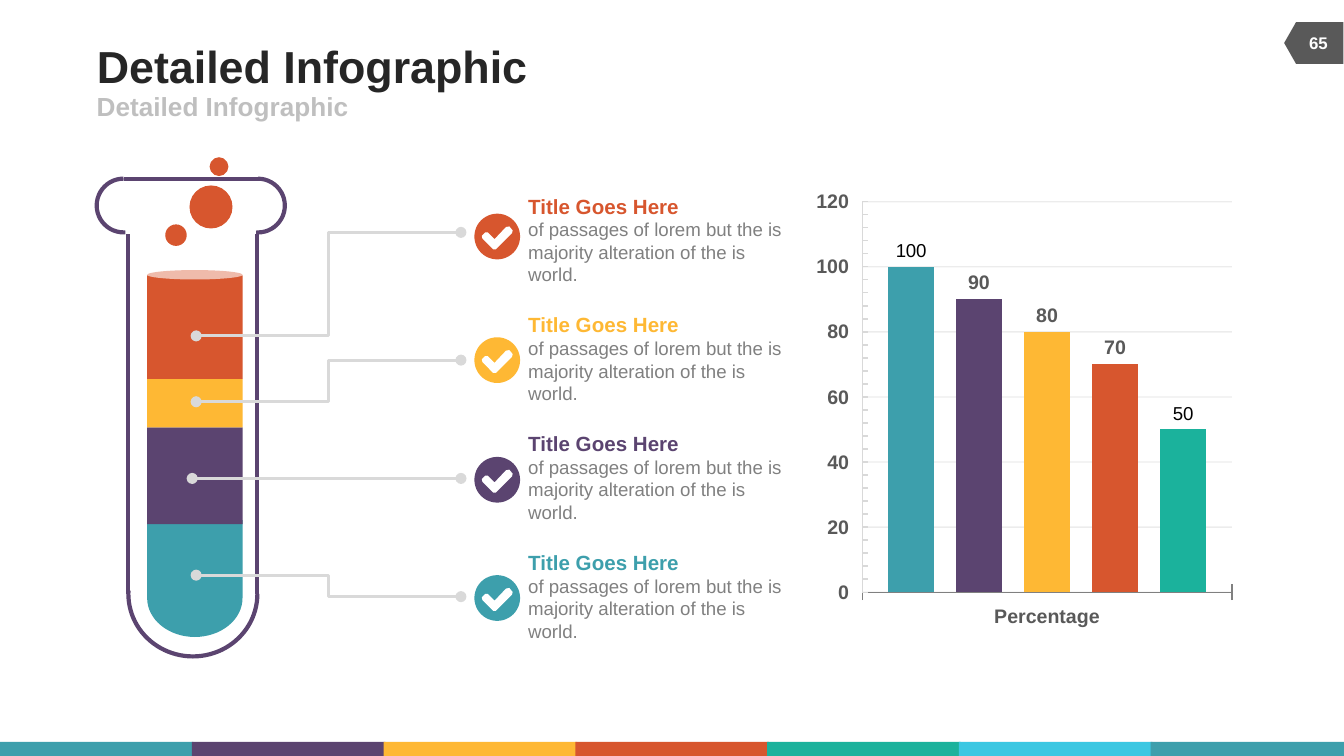
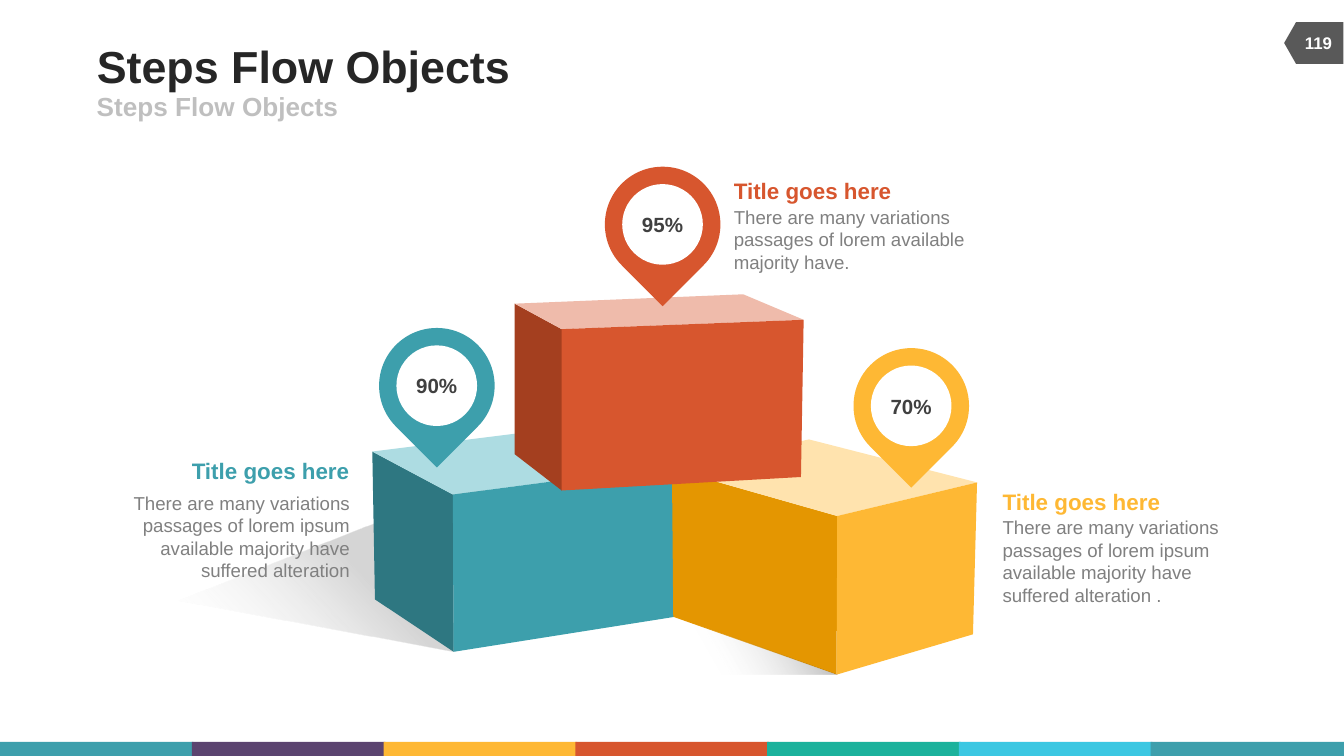
import math

import pptx
import pptx.chart.data
import pptx.dml.color
import pptx.enum.chart
import pptx.enum.shapes
import pptx.enum.text
import pptx.oxml
import pptx.oxml.ns
import pptx.util

SHAPE = pptx.enum.shapes.MSO_SHAPE
LINK = pptx.enum.shapes.MSO_CONNECTOR
ALIGN = pptx.enum.text.PP_ALIGN
ANCHOR = pptx.enum.text.MSO_ANCHOR
TICK = pptx.enum.chart.XL_TICK_MARK
qn = pptx.oxml.ns.qn

FONT = "Arial"
TEAL, PURPLE, YELLOW, RED = "3D9FAC", "5B4470", "FEB834", "D7562E"
GREEN, SKY = "1BB29C", "3BC7E2"
PALE_RED, WHITE, GRAY, LIGHT = "EFBBAB", "FFFFFF", "808080", "D9D9D9"
DARK = "595959"
BAND = [TEAL, PURPLE, YELLOW, RED, GREEN, SKY, TEAL]


def rgb(color):
    return pptx.dml.color.RGBColor.from_string(color)


def set_opacity(clr, percent):
    clr.makeelement
    alpha = pptx.oxml.parse_xml(
        '<a:alpha xmlns:a="http://schemas.openxmlformats.org/drawingml/2006/main"'
        f' val="{percent * 1000}"/>')
    clr.append(alpha)


def format_text(p, text, size=10, color=GRAY, bold=False, align=ALIGN.LEFT):
    p.alignment = align
    r = p.add_run()
    r.text = text
    r.font.name, r.font.size, r.font.bold = FONT, pptx.util.Pt(size), bold
    r.font.color.rgb = rgb(color)


class Deck:
    """Shared style and current slide; lengths are in grid units, 100 across."""

    def __init__(self):
        self.prs = pptx.Presentation()
        self.prs.slide_width = pptx.util.Inches(10)
        self.prs.slide_height = pptx.util.Inches(5.625)
        self.unit = self.prs.slide_width / 100
        self.s = None

    def emu(self, *lengths):
        return [round(v * self.unit) for v in lengths]

    def new_slide(self, title, number):
        self.s = self.prs.slides.add_slide(self.prs.slide_layouts[5])
        for i, color in enumerate(BAND):
            self.shape(SHAPE.RECTANGLE, i * 14.27, 55.2, 14.4, 1.05, color)
        self.shape(SHAPE.FLOWCHART_OFFPAGE_CONNECTOR, 96.2, 1, 3.1, 4.4, DARK, rot=90)
        ph = self.s.shapes.title
        ph.left, ph.top, ph.width, ph.height = self.emu(7.2, 2.9, 61.7, 3.9)
        self.fill_frame(ph.text_frame, [(title, dict(size=24, color="262626", bold=True))],
                        ANCHOR.MIDDLE)
        self.text(7.2, 6.8, 45, 2.2, (title, dict(size=14, color="BFBFBF", bold=True)),
                  anchor=ANCHOR.MIDDLE)
        self.text(96, 1.7, 4.2, 3,
                  (str(number), dict(size=9, color=WHITE, bold=True, align=ALIGN.CENTER)),
                  anchor=ANCHOR.MIDDLE)

    def fill_frame(self, tf, paragraphs, anchor=ANCHOR.TOP, wrap=True):
        tf.margin_left = tf.margin_right = tf.margin_top = tf.margin_bottom = 0
        tf.vertical_anchor, tf.word_wrap = anchor, wrap
        for i, (text, style) in enumerate(paragraphs):
            format_text(tf.add_paragraph() if i else tf.paragraphs[0], text, **style)

    def text(self, x, y, w, h, *paragraphs, anchor=ANCHOR.TOP, wrap=True):
        box = self.s.shapes.add_textbox(*self.emu(x, y, w, h))
        self.fill_frame(box.text_frame, paragraphs, anchor, wrap)

    def shape(self, kind, x, y, w, h, fill=None, rot=0):
        sp = self.s.shapes.add_shape(kind, *self.emu(x, y, w, h))
        sp.rotation = rot
        return self.paint(sp, fill)

    def paint(self, sp, fill):
        sp.shadow.inherit = False
        sp.line.fill.background()
        if fill:
            sp.fill.solid()
            sp.fill.fore_color.rgb = rgb(fill)
        else:
            sp.fill.background()
        return sp

    def arc(self, x, y, w, h, start, end, rot=0):
        sp = self.shape(SHAPE.ARC, x, y, w, h, rot=rot)
        sp.adjustments[0], sp.adjustments[1] = start * 0.6, end * 0.6
        sp.line.color.rgb = rgb(PURPLE)
        sp.line.width = pptx.util.Pt(2.25)

    def polygon(self, points, fill):
        first, *rest = [self.emu(*pt) for pt in points]
        builder = self.s.shapes.build_freeform(*first)
        builder.add_line_segments(rest, close=True)
        return self.paint(builder.convert_to_shape(), fill)

    def line(self, x1, y1, x2, y2, color, width, kind=LINK.STRAIGHT, dots=False):
        cxn = self.s.shapes.add_connector(kind, *self.emu(x1, y1, x2, y2))
        cxn.line.color.rgb = rgb(color)
        cxn.line.width = pptx.util.Pt(width)
        if dots:
            ln = cxn.line._get_or_add_ln()
            for end in ("a:headEnd", "a:tailEnd"):
                ln.append(ln.makeelement(qn(end), {"type": "oval"}))
        pr = cxn._element.spPr
        pr.append(pr.makeelement(qn("a:effectLst"), {}))

    def shadow(self, kind, x, y, w, h, angle, stops, rot=0):
        """Gradient shape; stops are (position, colour, opacity), angle clockwise."""
        sp = self.shape(kind, x, y, w, h, rot=rot)
        sp.fill.gradient()
        sp.fill.gradient_angle = 360 - angle
        for stop, (position, color, _) in zip(sp.fill.gradient_stops, stops):
            stop.position, stop.color.rgb = position, rgb(color)
        for clr, (_, _, opacity) in zip(sp._element.spPr.iter(qn("a:srgbClr")), stops):
            set_opacity(clr, opacity)
        return sp

    def check_icon(self, x, y, color):
        """Disc with a tick, centred on x, y."""
        self.shape(SHAPE.OVAL, x - 1.7, y - 1.7, 3.4, 3.4, color)
        tick = [(1.15, -.45), (.9, -.75), (.65, -.7), (-.2, .2), (-.7, -.3), (-.9, -.3),
                (-1.15, -.05), (-1.1, .15), (-.3, .95), (-.1, .95), (1.1, -.25)]
        self.polygon([(x + dx, y + dy) for dx, dy in tick], WHITE)

    def cube(self, top, low, side_color, top_color, front_color):
        """top lists left, back, right, near corners; low lists left, near, right."""
        left, back, right, near = top
        low_left, low_near, low_right = low
        self.polygon([near, low_near, low_left, left], side_color)
        self.polygon([near, left, back, right], top_color)
        self.polygon([right, low_right, low_near, near], front_color)

    def pin(self, x, y, label, color):
        self.shape(SHAPE.TEAR, x, y, 8.6, 8.6, color, rot=135)
        disc = self.shape(SHAPE.OVAL, x + 1.3, y + 1.3, 6, 6, WHITE)
        style = dict(size=11, color="404040", bold=True, align=ALIGN.CENTER)
        self.fill_frame(disc.text_frame, [(label, style)], ANCHOR.MIDDLE)

    def caption(self, x, y, body_y, w, h, body, color, align=ALIGN.LEFT):
        title_x = x + w - 11.9 if align == ALIGN.RIGHT else x
        self.text(x, body_y, w, h, (body, dict(align=align)))
        self.text(title_x, y, 11.9, 2,
                  ("Title goes here", dict(size=12, color=color, bold=True, align=align)),
                  wrap=False)

    def column_chart(self, x, y, w, h, category, values, colors, plain):
        """One series a column; the series in plain get regular black labels."""
        data = pptx.chart.data.CategoryChartData()
        data.categories = [category]
        for i, value in enumerate(values, 1):
            data.add_series(f"Series {i}", [value])
        chart = self.s.shapes.add_chart(
            pptx.enum.chart.XL_CHART_TYPE.COLUMN_CLUSTERED, *self.emu(x, y, w, h), data).chart
        chart.has_legend = chart.has_title = False
        font = chart.font
        font.name, font.size, font.bold = FONT, pptx.util.Pt(10.5), True
        font.color.rgb = rgb(DARK)
        plot = chart.plots[0]
        plot.gap_width, plot.overlap, plot.vary_by_categories = 115, -50, False
        outside = pptx.enum.chart.XL_LABEL_POSITION.OUTSIDE_END
        for i, (series, color) in enumerate(zip(plot.series, colors)):
            series.format.fill.solid()
            series.format.fill.fore_color.rgb = rgb(color)
            if i in plain:
                label = series.points[0].data_label
                label.font.size, label.font.bold = pptx.util.Pt(10), False
                label.font.color.rgb = rgb("000000")
            else:
                label = series.data_labels
                label.show_value = True
            label.position = outside
        cat, val = chart.category_axis, chart.value_axis
        cat.major_tick_mark = TICK.CROSS
        cat.format.line.color.rgb = rgb(GRAY)
        val.minimum_scale, val.maximum_scale, val.major_unit = 0, 120, 20
        val.major_tick_mark, val.minor_tick_mark = TICK.NONE, TICK.INSIDE
        val.tick_label_position = pptx.enum.chart.XL_TICK_LABEL_POSITION.LOW
        for ln in (val.format.line, val.major_gridlines.format.line):
            ln.color.rgb, ln.width = rgb(LIGHT), pptx.util.Pt(0.75)
        grid = next(chart.element.iter(qn("c:majorGridlines")))
        set_opacity(next(grid.iter(qn("a:srgbClr"))), 48)


def test_tube_slide(deck):
    deck.new_slide("Detailed Infographic", 65)
    bowl = [(14.5 + 3.55 * math.cos(a), 44.5 + 2.9 * math.sin(a))
            for a in (math.pi * i / 32 for i in range(33))]
    deck.polygon([(10.95, 38.7), (18.05, 38.7)] + bowl, TEAL)
    for y, h, color in [(31.8, 7.2, PURPLE), (28.2, 3.6, YELLOW), (20.5, 7.7, RED)]:
        deck.shape(SHAPE.RECTANGLE, 10.95, y, 7.1, h, color)
    deck.shape(SHAPE.OVAL, 10.95, 20.1, 7.1, .7, PALE_RED)

    deck.arc(9.7, 39.4, 9.3, 9.6, 270, 93, rot=90)
    for x in (9.55, 19.1):
        deck.line(x, 44.2, x, 17.4, PURPLE, 2.25)
    deck.arc(17.2, 13.3, 4, 4, 270, 93.7)
    deck.line(19.3, 13.3, 9.2, 13.3, PURPLE, 2.25)
    deck.arc(7.2, 13.3, 4, 4, 86.3, 270)
    for x, y, d in [(14.1, 13.8, 3.2), (12.3, 16.7, 1.6), (15.6, 11.7, 1.4)]:
        deck.shape(SHAPE.OVAL, x, y, d, d, RED)

    for y1, y2 in [(25, 17.3), (29.9, 26.8), (42.8, 44.4)]:
        deck.line(14.6, y1, 34.3, y2, LIGHT, 1.5, LINK.ELBOW, dots=True)
    deck.line(14.3, 35.6, 34.3, 35.6, LIGHT, 1.5, dots=True)
    body = "of passages of lorem but the is majority alteration of the is world."
    icons = [(RED, 17.6), (YELLOW, 26.8), (PURPLE, 35.7), (TEAL, 44.5)]
    for i, (color, icon_y) in enumerate(icons):
        deck.text(39.3, 14.4 + i * 8.84, 18.9, 6.9,
                  ("Title Goes Here", dict(size=11, color=color, bold=True)), (body, {}))
        deck.check_icon(37, icon_y, color)
    deck.column_chart(60.1, 13.5, 32.2, 33.9, "Percentage", [100, 90, 80, 70, 50],
                      BAND[:5], plain=(0, 4))


def steps_slide(deck):
    deck.new_slide("Steps Flow Objects", 119)
    deck.shadow(SHAPE.RIGHT_TRIANGLE, 18.2, 29.8, 13, 20.8, 36,
                [(0, WHITE, 0), (.5, GRAY, 33)], rot=280.5)
    deck.cube([(27.7, 33.6), (43.7, 31.6), (50.4, 34.6), (33.7, 36.8)],
              [(27.9, 44.6), (33.75, 48.5), (50.2, 45.9)], "2E7781", "ADDCE2", TEAL)
    deck.cube([(50, 34.9), (60.2, 32.7), (72.7, 35.9), (62.3, 38.4)],
              [(50.1, 45.9), (62.25, 50.2), (72.4, 47.2)], "E49601", "FFE3AE", YELLOW)
    sp = deck.shadow(SHAPE.ISOSCELES_TRIANGLE, 42.5, 45.9, 19.8, 4.3, 150,
                     [(0, GRAY, 79), (.5, "F2F2F2", 0)])
    sp.adjustments[0] = .39
    deck.pin(28.2, 24.4, "90%", TEAL)
    deck.pin(63.5, 25.9, "70%", YELLOW)
    variations = "There are many variations passages of lorem "
    deck.caption(7.8, 34, 36.6, 18.2, 6.7,
                 variations + "ipsum available majority have suffered alteration",
                 TEAL, ALIGN.RIGHT)
    deck.caption(74.6, 36.3, 38.4, 18.4, 6.7,
                 variations + "ipsum available majority have suffered alteration .", YELLOW)
    deck.caption(54.6, 13.2, 15.3, 22.1, 5, variations + "available majority have.", RED)
    deck.cube([(38.3, 22.6), (55.3, 21.9), (59.8, 23.8), (41.8, 24.5)],
              [(38.3, 33.8), (41.8, 36.5), (59.6, 35.5)], "A43F1F", PALE_RED, RED)
    deck.pin(45, 12.4, "95%", RED)


def main():
    deck = Deck()
    test_tube_slide(deck)
    steps_slide(deck)
    deck.prs.save("out.pptx")


if __name__ == "__main__":
    main()
